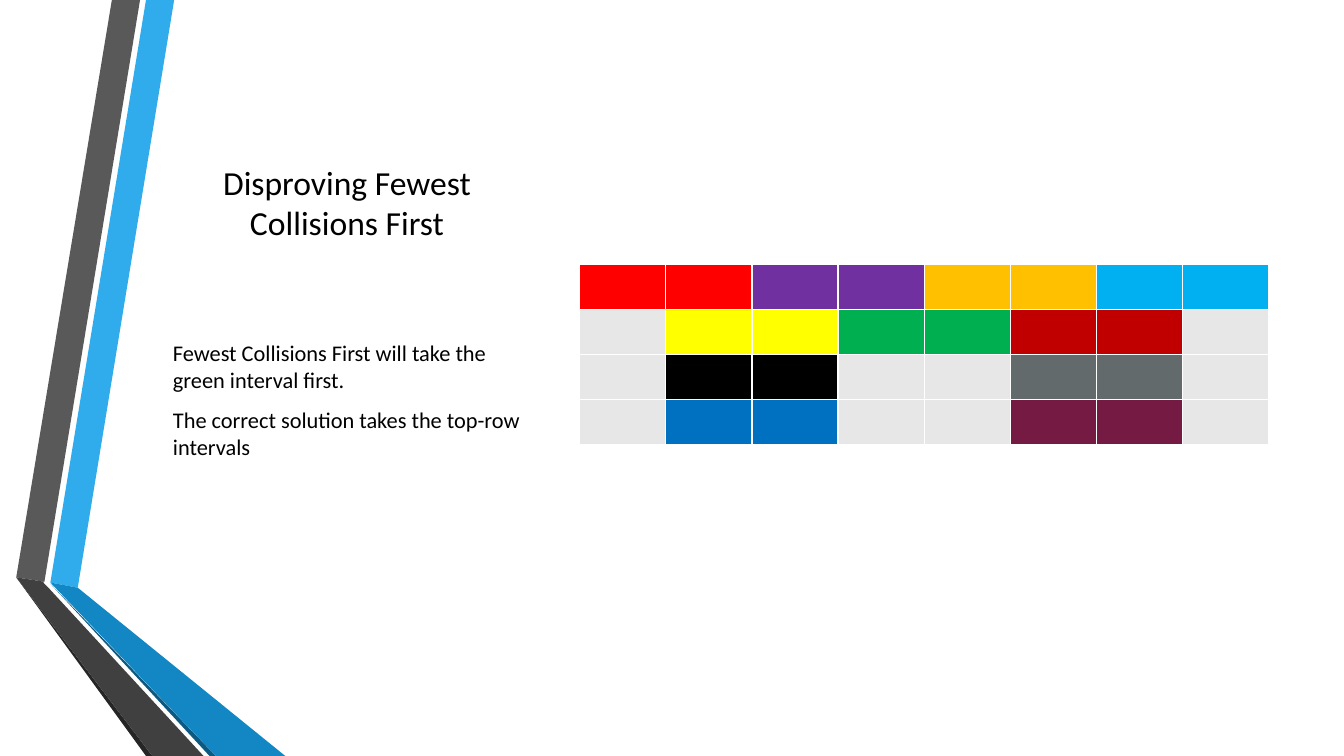
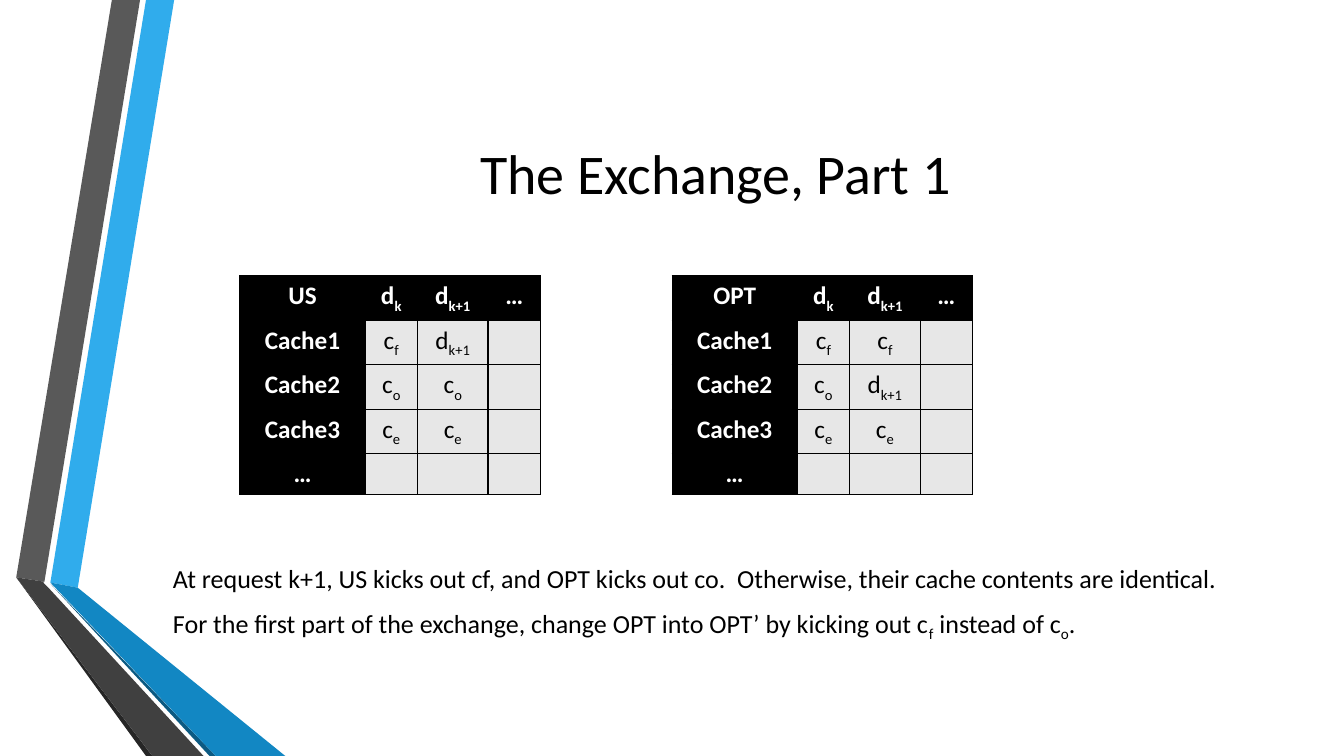
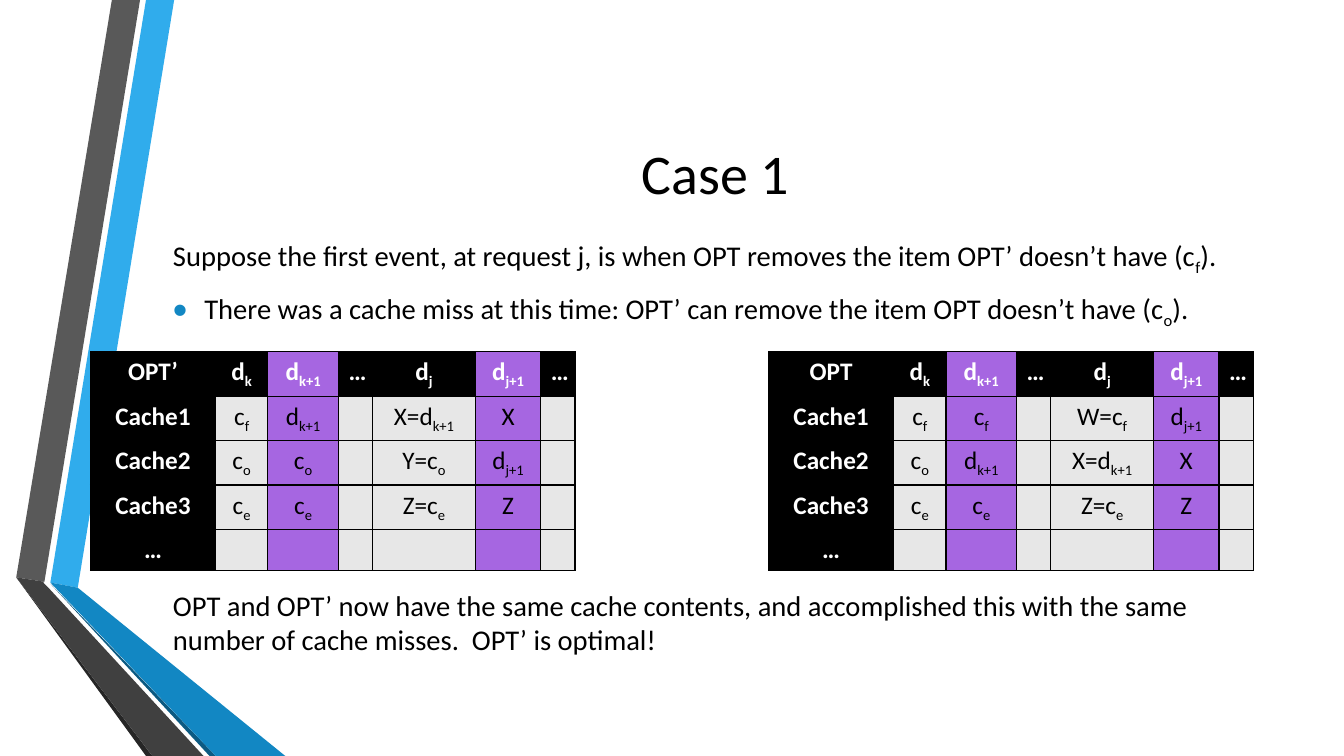
from dataclasses import dataclass

from lxml import etree
from pptx import Presentation
from pptx import util as u
from pptx.dml import color
from pptx.enum import text
from pptx.oxml import ns


@dataclass(frozen=True)
class Theme:
    font: str = "Calibri"
    ink: str = "000000"
    paper: str = "FFFFFF"
    cell: str = "E7E7E7"
    accent: str = "1287C3"
    highlight: str = "A666E1"
    title: float = 40
    small_title: float = 24
    table: float = 18


THEME = Theme()
LEFT, WIDE, NARROW = 4.11, 27.84, 9.27
RIBBONS = [
    ("30ACEC", [(1.27, 14.68), (1.96, 14.81), (4.39, 0), (3.68, 0)]),
    ("595959", [(3.53, 0), (2.82, 0), (0.41, 14.55), (1.12, 14.66)]),
    ("262626", [(0.41, 14.55), (3.68, 19.05), (3.84, 19.05)]),
    ("0C5A82", [(1.27, 14.71), (5.28, 19.05), (5.44, 19.05)]),
    (THEME.accent, [(1.27, 14.68), (5.44, 19.05), (7.19, 19.05), (1.96, 14.81)]),
    ("404040", [(5.13, 19.05), (1.22, 14.81), (1.09, 14.68), (1.12, 14.66),
                (0.41, 14.55), (3.84, 19.05)]),
]


def rgb(value):
    return color.RGBColor.from_string(value)


def add_xml(parent, tag, **attributes):
    return etree.SubElement(parent, ns.qn(tag), attributes)


def write(para, content, size, ink=THEME.ink, bold=False, align=None):
    para.alignment = align
    for index, part in enumerate(content.replace("}", "{").split("{")):
        if not part:
            continue
        span = para.add_run()
        span.text = part
        span.font.name = THEME.font
        span.font.size = u.Pt(size)
        span.font.bold = bold
        span.font.color.rgb = rgb(ink)
        if index % 2:
            span.font._element.set("baseline", "-25000")


class Slides:
    """Holds the deck, its style and the current slide."""

    def __init__(self):
        self.deck = Presentation()
        self.deck.slide_width, self.deck.slide_height = u.Cm(33.87), u.Cm(19.05)
        self.layout = self.deck.slide_layouts[5]
        self.page = None

    def add_page(self, title, top=1.9, width=WIDE, height=4.88, size=THEME.title):
        first = self.page is None
        self.page = self.deck.slides.add_slide(self.layout)
        if first:
            self.add_ribbons()
        box = self.page.shapes.title
        box.left, box.top = u.Cm(LEFT), u.Cm(top)
        box.width, box.height = u.Cm(width), u.Cm(height)
        frame = box.text_frame
        frame.auto_size = text.MSO_AUTO_SIZE.NONE
        frame.vertical_anchor = text.MSO_ANCHOR.MIDDLE
        write(frame.paragraphs[0], title, size, align=text.PP_ALIGN.CENTER)

    def add_ribbons(self):
        for index, (fill, points) in enumerate(RIBBONS):
            corners = [(u.Cm(x), u.Cm(y)) for x, y in points]
            builder = self.page.shapes.build_freeform(*corners[0])
            builder.add_line_segments(corners[1:])
            ribbon = builder.convert_to_shape()
            ribbon.name = f"Ribbon {index + 1}"
            ribbon.shadow.inherit = False
            ribbon.fill.solid()
            ribbon.fill.fore_color.rgb = rgb(fill)
            ribbon.line.fill.background()
            ribbon.element.nvSpPr.cNvPr.set("id", str(100 + index))
            self.layout.shapes.element.insert(2 + index, ribbon.element)

    def add_text(self, top, height, size, *lines, width=WIDE, bullets=()):
        box = self.page.shapes.add_textbox(u.Cm(LEFT), u.Cm(top), u.Cm(width), u.Cm(height))
        frame = box.text_frame
        frame.word_wrap = True
        for index, line in enumerate(lines):
            para = frame.add_paragraph() if index else frame.paragraphs[0]
            if index in bullets:
                self.add_bullet(para)
            if index:
                para.space_before = u.Pt(0.2 * size)
            para.space_after = u.Pt(6)
            write(para, line, size)

    def add_bullet(self, para):
        props = para._p.get_or_add_pPr()
        props.set("marL", str(u.Cm(0.79)))
        props.set("indent", str(u.Cm(-0.79)))
        add_xml(add_xml(props, "a:buClr"), "a:srgbClr", val=THEME.accent)
        add_xml(props, "a:buSzPct", val="145000")
        add_xml(props, "a:buFont", typeface="Arial")
        add_xml(props, "a:buChar", char="•")

    def add_grid(self, left, top, widths, row_height, row_count):
        frame = self.page.shapes.add_table(
            row_count, len(widths), u.Cm(left), u.Cm(top),
            u.Cm(sum(widths)), u.Cm(row_height * row_count))
        table = frame.table
        table.first_row = table.horz_banding = False
        for column, width in zip(table.columns, widths):
            column.width = u.Cm(width)
        for row in table.rows:
            row.height = u.Cm(row_height)
        return table

    def style_cell(self, cell, fill, border):
        props = cell._tc.get_or_add_tcPr()
        for side in "LRTB":
            line = add_xml(props, f"a:ln{side}", w=str(u.Pt(1)))
            add_xml(add_xml(line, "a:solidFill"), "a:srgbClr", val=border)
        cell.fill.solid()
        cell.fill.fore_color.rgb = rgb(fill)

    def add_intervals(self, left, top, rows):
        table = self.add_grid(left, top, [2.17] * len(rows[0]), 1.14, len(rows))
        for r, fills in enumerate(rows):
            for c, fill in enumerate(fills):
                self.style_cell(table.cell(r, c), fill, THEME.paper)

    def add_cache(self, left, top, widths, rows, highlights=()):
        table = self.add_grid(left, top, widths, 1.03, len(rows))
        for r, row in enumerate(rows):
            for c, content in enumerate(row):
                header = r == 0 or c == 0
                fill = THEME.ink if header else THEME.cell
                if c in highlights:
                    fill = THEME.highlight
                cell = table.cell(r, c)
                self.style_cell(cell, fill, THEME.ink)
                write(cell.text_frame.paragraphs[0], content, THEME.table,
                      ink=THEME.paper if header else THEME.ink,
                      bold=header, align=text.PP_ALIGN.CENTER)


def cache_rows(name, heads, *bodies):
    labelled = [[f"Cache{i}", *body] for i, body in enumerate(bodies, 1)]
    return [[name, *heads], *labelled, ["…"] + [""] * len(heads)]


def pairs(*colours):
    return [colour for colour in colours for _ in range(2)]


def main():
    slides = Slides()
    blank = THEME.cell

    slides.add_page("Disproving Fewest Collisions First", top=3, width=NARROW,
                    height=4.19, size=THEME.small_title)
    slides.add_text(8.43, 7.6, 16,
                    "Fewest Collisions First will take the green interval first.",
                    "The correct solution takes the top-row intervals", width=NARROW)
    slides.add_intervals(14.61, 6.65, [
        pairs("FF0000", "7030A0", "FFC000", "00B0F0"),
        [blank, *pairs("FFFF00", "00B050", "C00000"), blank],
        [blank, *pairs("000000", blank, "636A6C"), blank],
        [blank, *pairs("0070C0", blank, "751A43"), blank],
    ])

    slides.add_page("The Exchange, Part 1")
    slides.add_text(
        14.05, 2.1, 18.6,
        "At request k+1, US kicks out cf, and OPT kicks out co.  "
        "Otherwise, their cache contents are identical.",
        "For the first part of the exchange, change OPT into OPT’ "
        "by kicking out c{f} instead of c{o}.")
    widths = [3.15, 1.32, 1.78, 1.32]
    heads = ["d{k}", "d{k+1}", "…"]
    slides.add_cache(6.05, 6.95, widths, cache_rows(
        "US", heads, ["c{f}", "d{k+1}", ""], ["c{o}", "c{o}", ""], ["c{e}", "c{e}", ""]))
    slides.add_cache(16.94, 6.95, widths, cache_rows(
        "OPT", heads, ["c{f}", "c{f}", ""], ["c{o}", "d{k+1}", ""], ["c{e}", "c{e}", ""]))

    slides.add_page("Case 1")
    slides.add_text(
        5.87, 2.8, 20.4,
        "Suppose the first event, at request j, is when OPT removes "
        "the item OPT’ doesn’t have (c{f}).",
        "There was a cache miss at this time: OPT’ can remove "
        "the item OPT doesn’t have (c{o}).", bullets=[1])
    slides.add_text(
        14.68, 2, 20.4,
        "OPT and OPT’ now have the same cache contents, and accomplished this "
        "with the same number of cache misses.  OPT’ is optimal!")
    widths = [3.15, 1.32, 1.78, 0.86, 2.59, 1.65, 0.86]
    heads += ["d{j}", "d{j+1}", "…"]
    last = ["c{e}", "c{e}", "", "Z=c{e}", "Z", ""]
    slides.add_cache(2.28, 8.86, widths, cache_rows(
        "OPT’", heads,
        ["c{f}", "d{k+1}", "", "X=d{k+1}", "X", ""],
        ["c{o}", "c{o}", "", "Y=c{o}", "d{j+1}", ""], last), highlights=(2, 5))
    slides.add_cache(19.37, 8.86, widths, cache_rows(
        "OPT", heads,
        ["c{f}", "c{f}", "", "W=c{f}", "d{j+1}", ""],
        ["c{o}", "d{k+1}", "", "X=d{k+1}", "X", ""], last), highlights=(2, 5))

    slides.deck.save("out.pptx")


if __name__ == "__main__":
    main()
